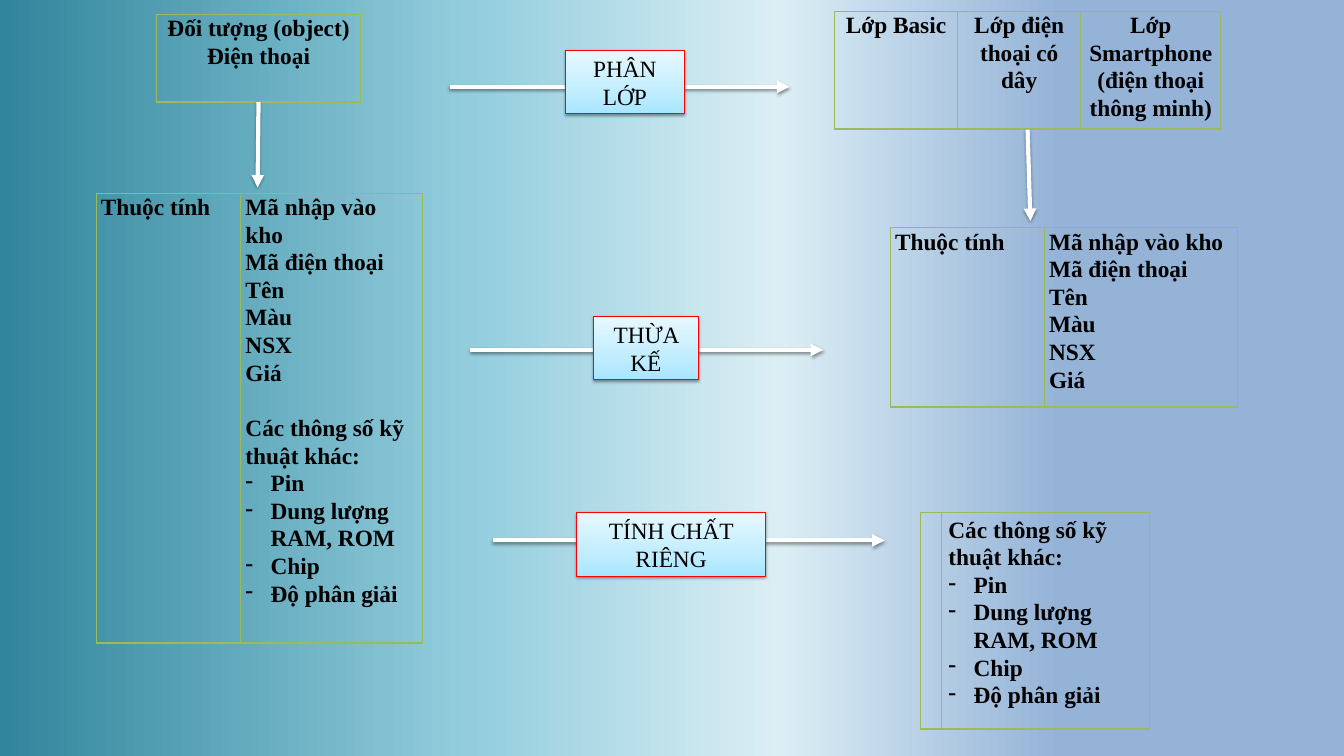
import pptx
import pptx.util
import pptx.dml.color
import pptx.enum.shapes
import pptx.enum.text
import pptx.oxml.ns
from lxml import etree

Pt = pptx.util.Pt
RGBColor = pptx.dml.color.RGBColor
qn = pptx.oxml.ns.qn
CENTER = pptx.enum.text.PP_ALIGN.CENTER
LEFT = pptx.enum.text.PP_ALIGN.LEFT

BLACK = RGBColor(0x00, 0x00, 0x00)
WHITE = RGBColor(0xFF, 0xFF, 0xFF)
RED = RGBColor(0xFF, 0x00, 0x00)
GREEN = RGBColor(0x9B, 0xBB, 0x59)
BACKGROUND = [
    (0, RGBColor(0x31, 0x85, 0x9C)),
    (35, RGBColor(0x93, 0xCD, 0xDD)),
    (58, RGBColor(0xDB, 0xEE, 0xF4)),
    (79, RGBColor(0x95, 0xB3, 0xD7)),
    (100, RGBColor(0x95, 0xB3, 0xD7)),
]
LABEL_FILL = [
    (0, RGBColor(0xA7, 0xE6, 0xFF)),
    (35, RGBColor(0xC1, 0xED, 0xFF)),
    (100, RGBColor(0xE7, 0xF8, 0xFF)),
]
FONT = "Times New Roman"
SIZE = Pt(25)
HANG = Pt(27)

COMMON = ["Mã nhập vào kho", "Mã điện thoại", "Tên", "Màu", "NSX", "Giá"]
SPECS = ["Các thông số kỹ thuật khác:", "- Pin", "- Dung lượng RAM, ROM",
         "- Chip", "- Độ phân giải"]


def set_gradient(fill, el, stops, angle):
    fill.gradient()
    fill.gradient_angle = angle
    gs_lst = el.find(".//" + qn("a:gsLst"))
    for gs in list(gs_lst):
        gs_lst.remove(gs)
    for pos, color in stops:
        gs = etree.SubElement(gs_lst, qn("a:gs"), pos=str(pos * 1000))
        etree.SubElement(gs, qn("a:srgbClr"), val=str(color))


def add_shadow(spPr):
    lst = spPr.find(qn("a:effectLst"))
    if lst is None:
        lst = etree.SubElement(spPr, qn("a:effectLst"))
    shadow = etree.SubElement(lst, qn("a:outerShdw"), blurRad=str(Pt(3.1)),
                              dist=str(Pt(1.6)), dir="5400000", rotWithShape="0")
    color = etree.SubElement(shadow, qn("a:srgbClr"), val=str(BLACK))
    etree.SubElement(color, qn("a:alpha"), val="38000")


def format_runs(p, bold):
    for r in p.runs:
        r.font.name = FONT
        r.font.size = SIZE
        r.font.bold = bold
        r.font.color.rgb = BLACK


def add_bullet(p):
    pPr = p._p.get_or_add_pPr()
    pPr.set("marL", str(HANG))
    pPr.set("indent", str(-HANG))
    etree.SubElement(pPr, qn("a:buChar"), char="-")


def fill_cell(cell, lines, align):
    tf = cell.text_frame
    tf.word_wrap = True
    for i, line in enumerate(lines):
        p = tf.add_paragraph() if i else tf.paragraphs[0]
        p.text = line.removeprefix("- ")
        p.alignment = align
        p.line_spacing = 1.07
        if i and line == SPECS[0]:
            p.space_before = Pt(30)
        if line.startswith("- "):
            add_bullet(p)
        format_runs(p, True)


def set_borders(cell):
    tcPr = cell._tc.get_or_add_tcPr()
    for i, (side, width) in enumerate([("L", 1), ("R", 1), ("T", 1), ("B", 2)]):
        ln = etree.Element(qn("a:ln" + side), w=str(Pt(width)))
        fill = etree.SubElement(ln, qn("a:solidFill"))
        etree.SubElement(fill, qn("a:srgbClr"), val=str(GREEN))
        tcPr.insert(i, ln)


def class_table(s, box, widths, cells, align=LEFT, margins=(5, 0)):
    x, y, w, h = box
    table = s.shapes.add_table(1, len(cells), Pt(x), Pt(y), Pt(w), Pt(h)).table
    table.first_row = False
    table.horz_banding = False
    for col, width in zip(table.columns, widths):
        col.width = Pt(width)
    for cell, lines in zip(table.rows[0].cells, cells):
        cell.margin_left = cell.margin_right = Pt(margins[0])
        cell.margin_top = cell.margin_bottom = Pt(margins[1])
        cell.fill.background()
        set_borders(cell)
        fill_cell(cell, lines, align)


def arrow(s, x1, y1, x2, y2):
    c = s.shapes.add_connector(pptx.enum.shapes.MSO_CONNECTOR.STRAIGHT,
                               Pt(x1), Pt(y1), Pt(x2), Pt(y2))
    c.line.color.rgb = WHITE
    c.line.width = Pt(4.5)
    spPr = c._element.spPr
    etree.SubElement(spPr.find(qn("a:ln")), qn("a:tailEnd"), type="triangle")
    add_shadow(spPr)


def labelled_arrow(s, box, label, label_x, label_w, arrow_y):
    x, y, w, h = box
    arrow(s, x, y + arrow_y, x + w, y + arrow_y)
    sp = s.shapes.add_shape(pptx.enum.shapes.MSO_SHAPE.RECTANGLE,
                            Pt(x + label_x), Pt(y), Pt(label_w), Pt(h))
    set_gradient(sp.fill, sp._element, LABEL_FILL, 90)
    sp.line.color.rgb = RED
    sp.line.width = Pt(0.75)
    sp.shadow.inherit = False
    add_shadow(sp._element.spPr)
    tf = sp.text_frame
    tf.word_wrap = True
    tf.text = label
    p = tf.paragraphs[0]
    p.alignment = CENTER
    format_runs(p, False)


def object_region(s, box):
    x, y, w, h = box
    class_table(s, (x + 65, y, 218, 94.5), [218],
                [["Đối tượng (object)", "Điện thoại"]], CENTER)
    arrow(s, x + 174, y + 94.5, x + 173, y + 186)
    class_table(s, (x, y + 192, w, h - 192), [155, w - 155],
                [["Thuộc tính"], COMMON + SPECS])


def class_region(s, box):
    x, y, w, h = box
    class_table(s, (x, y, 414, 126), [132, 132, 150],
                [["Lớp Basic"], ["Lớp điện thoại có dây"],
                 ["Lớp Smartphone", "(điện thoại thông minh)"]], CENTER)
    arrow(s, x + 207, y + 127, x + 210, y + 225)
    class_table(s, (x + 60, y + 232, w - 60, 192), [165, w - 225],
                [["Thuộc tính"], COMMON])
    class_table(s, (x + 92, y + 537, 245, h - 537), [23, 222],
                [[], SPECS], margins=(7.2, 3.6))


def relation_region(s, box):
    x, y, w, h = box
    for label, dx, dy, length, label_x, label_w, arrow_y in [
        ("THỪA KẾ", 22, 285, 378, 132, 112, 36),
        ("TÍNH CHẤT RIÊNG", 46, 495, 420, 90, 202, 30),
        ("PHÂN LỚP", 0, 0, 364, 124, 127, 39),
    ]:
        labelled_arrow(s, (x + dx, y + dy, length, 68), label,
                       label_x, label_w, arrow_y)


def main():
    prs = pptx.Presentation()
    prs.slide_width = Pt(1440)
    prs.slide_height = Pt(810)
    s = prs.slides.add_slide(prs.slide_layouts[6])
    set_gradient(s.background.fill, s._element, BACKGROUND, 0)
    object_region(s, (103, 15, 350, 674))
    class_region(s, (894, 12, 432, 769))
    relation_region(s, (482, 54, 466, 563))
    prs.save("out.pptx")


if __name__ == "__main__":
    main()
